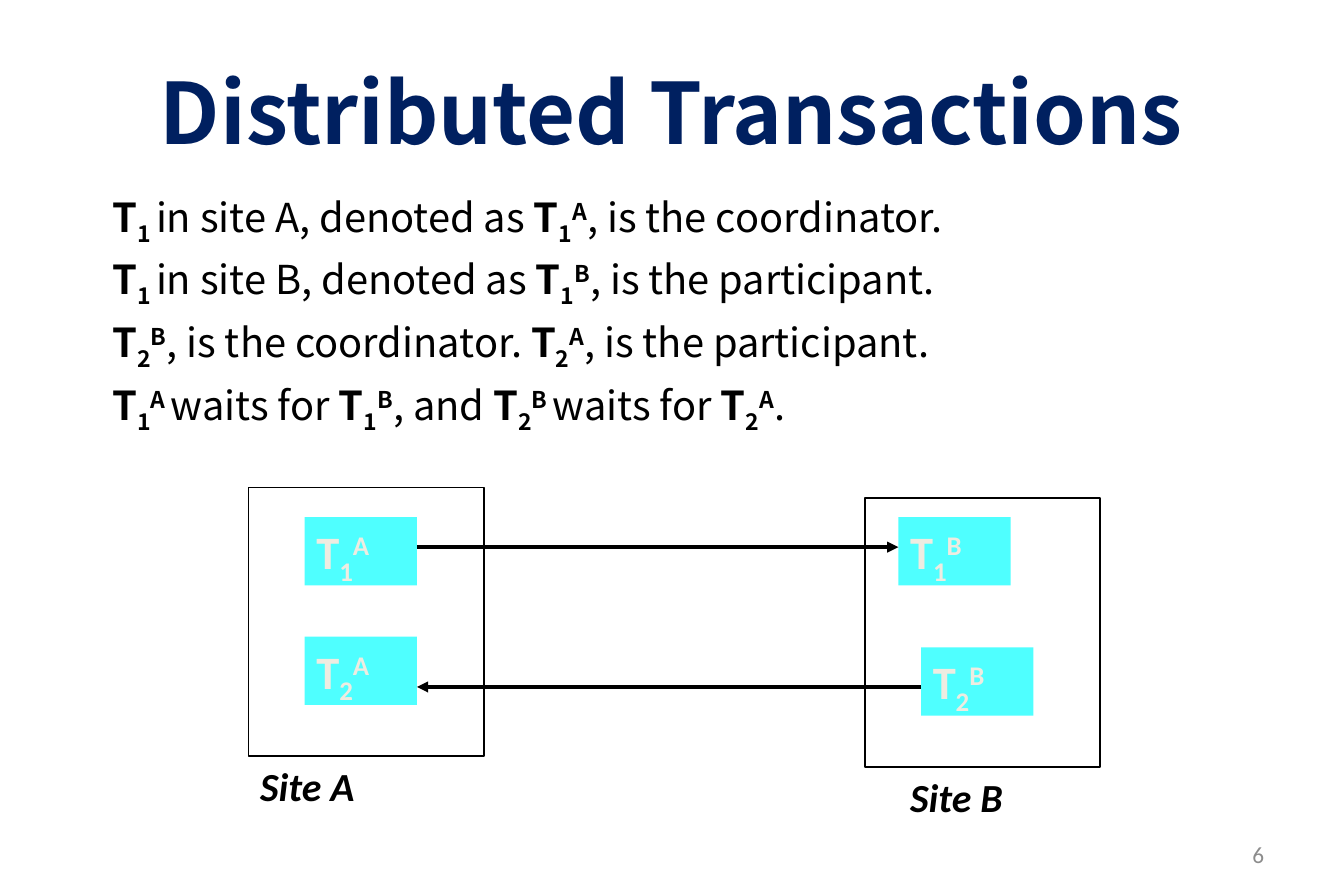
from pptx import Presentation
from pptx.dml.color import RGBColor
from pptx.enum.shapes import MSO_CONNECTOR, MSO_SHAPE
from pptx.enum.text import MSO_ANCHOR, PP_ALIGN
from pptx.oxml.ns import qn
from pptx.util import Emu, Pt
from lxml import etree

RECT, LINE = MSO_SHAPE.RECTANGLE, MSO_CONNECTOR.STRAIGHT
TOP, MIDDLE = MSO_ANCHOR.TOP, MSO_ANCHOR.MIDDLE
LEFT, CENTER, RIGHT = PP_ALIGN.LEFT, PP_ALIGN.CENTER, PP_ALIGN.RIGHT
LATIN, CJK = "Calibri", "Noto Sans CJK SC"
BLACK, WHITE, NAVY, CYAN, CREAM, GRAY = (
    "000000", "FFFFFF", "002060", "4FFFFF", "EEECE1", "8C8C8C")
PX = 9144  # 100 px to the inch

TITLE = "Distributed Transactions"
# Pieces are split at |; _ lowers a piece, ^ raises it
FACTS = [
    "T|_1 |in site A, denoted as |T|_1|^A|, is the coordinator.",
    "T|_1 |in site B, denoted as |T|_1|^B|, is the participant.",
    "T|_2|^B|, is the coordinator. |T|_2|^A|, is the participant.",
    "T|_1|^A |waits for |T|_1|^B|, and |T|_2|^B |waits for |T|_2|^A|.",
]
SITES = [(208, 408), (724, 417)]
SITE_SIZE = (197, 225)
NODES = [("T|_1|^A", 255, 433), ("T|_2|^A", 255, 533),
         ("T|_1|^B", 752, 433), ("T|_2|^B", 771, 542)]
NODE_SIZE = (94, 57)
WAITS = [(349, 752, 458), (771, 349, 575)]  # from x, to x, y
NAMES = [("Site A", 208, 633, 206), ("Site B", 752, 642, 178)]


def px(*nums):
    return [Emu(n * PX) for n in nums]


def color(code):
    return RGBColor.from_string(code)


def style(run, size, face, code, bold=False):
    font = run.font
    font.size, font.name, font.bold = Pt(size), face, bold
    font.color.rgb = color(code)
    if face == CJK:
        etree.SubElement(run.font._element, qn("a:ea")).set("typeface", face)


def rich(para, marked, size, face, code):
    """Write marked pieces; T and its indices are bold."""
    for piece in marked.split("|"):
        shift = {"_": "-25000", "^": "30000"}.get(piece[0])
        run = para.add_run()
        run.text = piece[1:] if shift else piece
        style(run, size, face, code, bool(shift) or piece == "T")
        if shift:
            run.font._element.set("baseline", shift)


def frame(shape, anchor=TOP, side=10, edge=5):
    text = shape.text_frame
    text.word_wrap, text.vertical_anchor = True, anchor
    text.margin_left, text.margin_right = px(side, side)
    text.margin_top, text.margin_bottom = px(edge, edge)
    return text


def label(slide, words, area, size, code, align=LEFT, anchor=TOP):
    text = frame(slide.shapes.add_textbox(*px(*area)), anchor)
    text.text = words
    para = text.paragraphs[0]
    para.alignment = align
    style(para.runs[0], size, LATIN, code)
    return para.runs[0]


def box(slide, area, fill, edge=None):
    shape = slide.shapes.add_shape(RECT, *px(*area))
    shape.shadow.inherit = False
    shape.fill.solid()
    shape.fill.fore_color.rgb = color(fill)
    if edge:
        shape.line.color.rgb, shape.line.width = color(edge), Pt(1)
    else:
        shape.line.fill.background()
    return shape


def arrow(slide, start, end, y):
    link = slide.shapes.add_connector(LINE, *px(start, y, end, y))
    link.line.color.rgb, link.line.width = color(BLACK), Pt(2.25)
    tip = etree.SubElement(link.line._get_or_add_ln(), qn("a:tailEnd"))
    tip.set("type", "triangle")
    etree.SubElement(link._element.spPr, qn("a:effectLst"))


def place(shape, area):
    shape.left, shape.top, shape.width, shape.height = px(*area)


def main():
    deck = Presentation()
    deck.slide_width, deck.slide_height = px(1125, 750)
    slide = deck.slides.add_slide(deck.slide_layouts[1])

    title, body = slide.placeholders
    place(title, (56, 30, 1012, 125))
    text = frame(title, MIDDLE, 12, 6)
    text.text = TITLE
    text.paragraphs[0].alignment = CENTER
    style(text.paragraphs[0].runs[0], 51, CJK, NAVY, True)

    place(body, (84, 156, 975, 313))
    text = frame(body)
    for i, fact in enumerate(FACTS):
        para = text.add_paragraph() if i else text.paragraphs[0]
        props = para._p.get_or_add_pPr()
        props.set("marL", str(52 * PX))
        props.set("indent", str(-52 * PX))
        etree.SubElement(props, qn("a:buNone"))
        para.space_before = Pt(5 if i else 0)
        rich(para, fact, 24, CJK, BLACK)

    for spot in SITES:
        box(slide, spot + SITE_SIZE, WHITE, BLACK)
    for name, x, y in NODES:
        text = frame(box(slide, (x, y) + NODE_SIZE, CYAN))
        text.paragraphs[0].alignment = LEFT
        rich(text.paragraphs[0], name, 28, LATIN, CREAM)
    for wait in WAITS:
        arrow(slide, *wait)
    for name, x, y, width in NAMES:
        run = label(slide, name, (x, y, width, 50), 24, BLACK)
        run.font.bold = run.font.italic = True
    label(slide, "6", (806, 695, 262, 40), 14, GRAY, RIGHT, MIDDLE)

    deck.save("out.pptx")


if __name__ == "__main__":
    main()
